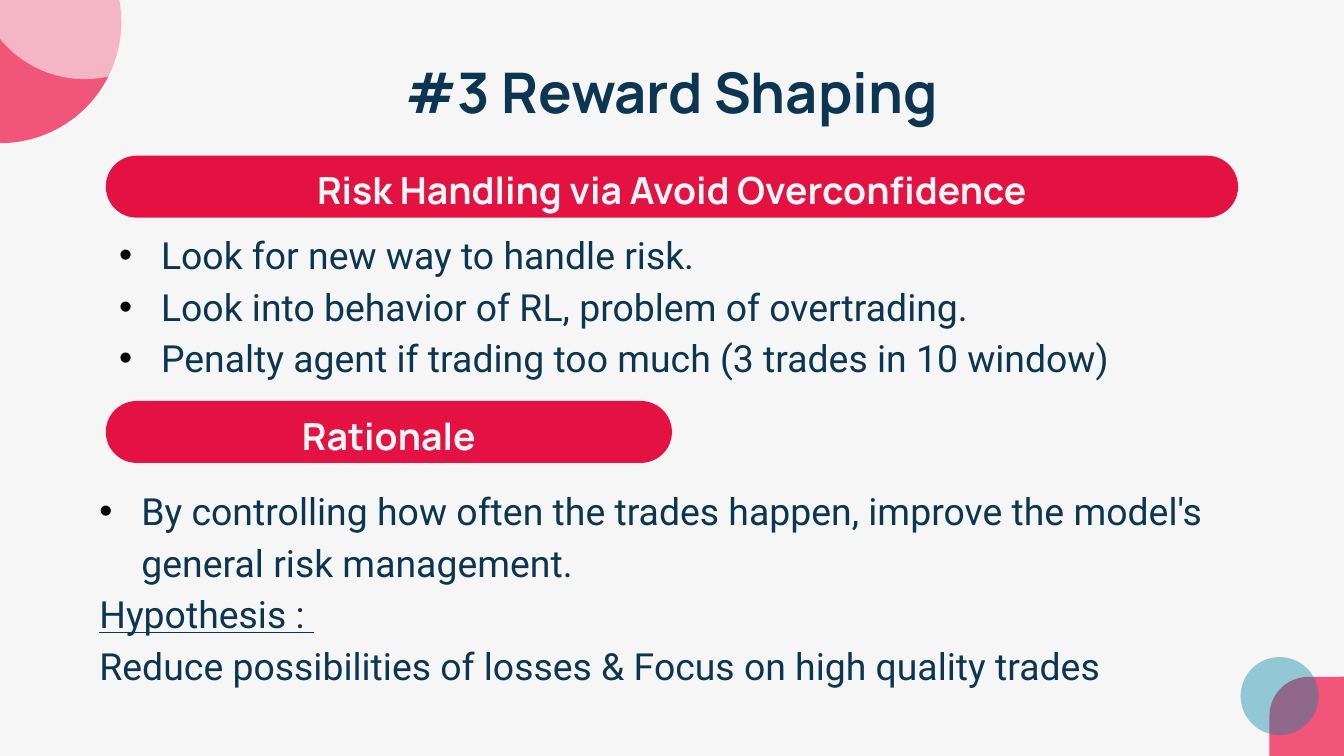
from lxml import etree
from pptx import Presentation
from pptx import util as u
from pptx.dml import color
from pptx.enum import shapes, text
from pptx.oxml import ns

NAVY, RED, PINK, TEAL, PAPER = "0B3550", "E41143", "F2557A", "0584A4", "F6F6F6"
LEFT, WIDTH = 56.7, 606.6
BANNER_HEIGHT = 33.2
INDENT = 22.5


def rgb(value):
    return color.RGBColor.from_string(value)


class Deck:
    """Holds the text style and the slide being built."""
    heading_font, body_font = "Manrope", "Roboto"
    title_size, text_size = 30, 20
    inset, line_spacing = 7.2, 1.15

    def __init__(self, width, height):
        self.presentation = Presentation()
        self.presentation.slide_width = u.Pt(width)
        self.presentation.slide_height = u.Pt(height)
        self.slide = None

    def add_slide(self, background):
        layout = self.presentation.slide_layouts.get_by_name("Title Only")
        self.slide = self.presentation.slides.add_slide(layout)
        fill = self.slide.background.fill
        fill.solid()
        fill.fore_color.rgb = rgb(background)

    def frame(self, shape, anchor):
        """Prepare a shape's text frame and return it."""
        frame = shape.text_frame
        frame.word_wrap = True
        frame.auto_size = text.MSO_AUTO_SIZE.NONE
        frame.vertical_anchor = anchor
        frame.margin_left = frame.margin_right = u.Pt(self.inset)
        frame.margin_top = frame.margin_bottom = u.Pt(self.inset)
        return frame

    def run(self, paragraph, words, font, size, fill, bold=False, underline=False):
        run = paragraph.add_run()
        run.text = words
        run.font.name, run.font.size = font, u.Pt(size)
        run.font.bold, run.font.underline = bold, underline
        run.font.color.rgb = rgb(fill)

    def title(self, words, left, top, width, height):
        shape = self.slide.shapes.title
        shape.left, shape.top = u.Pt(left), u.Pt(top)
        shape.width, shape.height = u.Pt(width), u.Pt(height)
        paragraph = self.frame(shape, text.MSO_ANCHOR.TOP).paragraphs[0]
        paragraph.alignment = text.PP_ALIGN.CENTER
        self.run(paragraph, words, self.heading_font, self.title_size, NAVY, bold=True)

    def shape(self, kind, left, top, width, height, fill, opacity=100):
        shape = self.slide.shapes.add_shape(
            kind, u.Pt(left), u.Pt(top), u.Pt(width), u.Pt(height))
        shape.shadow.inherit = False
        shape.line.fill.background()
        shape.fill.solid()
        shape.fill.fore_color.rgb = rgb(fill)
        if opacity < 100:
            solid = shape.fill._xPr.find(ns.qn("a:solidFill"))
            etree.SubElement(solid[0], ns.qn("a:alpha"), val=str(opacity * 1000))
        if len(shape.adjustments):
            shape.adjustments[0] = 0.5
        return shape

    def banner(self, words, top, width):
        shape = self.shape(shapes.MSO_SHAPE.ROUNDED_RECTANGLE,
                           LEFT, top, width, BANNER_HEIGHT, RED)
        paragraph = self.frame(shape, text.MSO_ANCHOR.MIDDLE).paragraphs[0]
        paragraph.alignment = text.PP_ALIGN.CENTER
        paragraph.line_spacing = self.line_spacing
        self.run(paragraph, words, self.heading_font, self.text_size, PAPER, bold=True)

    def bullet(self, paragraph):
        properties = paragraph._p.get_or_add_pPr()
        properties.set("marL", str(u.Pt(INDENT)))
        properties.set("indent", str(-u.Pt(INDENT)))
        bullet_color = etree.SubElement(properties, ns.qn("a:buClr"))
        etree.SubElement(bullet_color, ns.qn("a:srgbClr"), val="000000")
        etree.SubElement(properties, ns.qn("a:buFont"), typeface="Arial")
        etree.SubElement(properties, ns.qn("a:buChar"), char="•")

    def body(self, left, top, width, height, lines):
        """Add a text box; each line is (words, bulleted, underlined)."""
        box = self.slide.shapes.add_textbox(
            u.Pt(left), u.Pt(top), u.Pt(width), u.Pt(height))
        frame = self.frame(box, text.MSO_ANCHOR.TOP)
        for index, (words, bulleted, underlined) in enumerate(lines):
            paragraph = frame.add_paragraph() if index else frame.paragraphs[0]
            paragraph.line_spacing = self.line_spacing
            if bulleted:
                self.bullet(paragraph)
            self.run(paragraph, words, self.body_font, self.text_size, NAVY,
                     underline=underlined)


def main():
    deck = Deck(720, 405)
    deck.add_slide(PAPER)
    kinds = shapes.MSO_SHAPE

    deck.shape(kinds.OVAL, -65, -53.3, 130, 130, PINK)
    corner = deck.shape(kinds.ROUND_1_RECTANGLE, 679.7, 362.9, 42.5, 41.8, PINK)
    corner.rotation = 270
    deck.shape(kinds.OVAL, 664.6, 352, 41.8, 41.8, TEAL, opacity=41)
    deck.shape(kinds.ROUNDED_RECTANGLE, -13, -301, 116.6, 343.4, PAPER, opacity=60)

    deck.title("#3 Reward Shaping", LEFT, 23.8, WIDTH, 45.4)
    deck.body(LEFT, 113.8, WIDTH, 132.5, [
        ("Look for new way to handle risk.", True, False),
        ("Look into behavior of RL, problem of overtrading.", True, False),
        ("Penalty agent if trading too much (3 trades in 10 window)", True, False),
    ])
    deck.banner("Risk Handling via Avoid Overconfidence", 83.4, WIDTH)
    deck.banner("Rationale", 214.8, WIDTH / 2)
    deck.body(46.2, 250.8, 617, 132.5, [
        ("By controlling how often the trades happen, improve the model's "
         "general risk management.", True, False),
        ("Hypothesis : ", False, True),
        ("Reduce possibilities of losses & Focus on high quality trades", False, False),
    ])
    deck.presentation.save("out.pptx")


if __name__ == "__main__":
    main()
